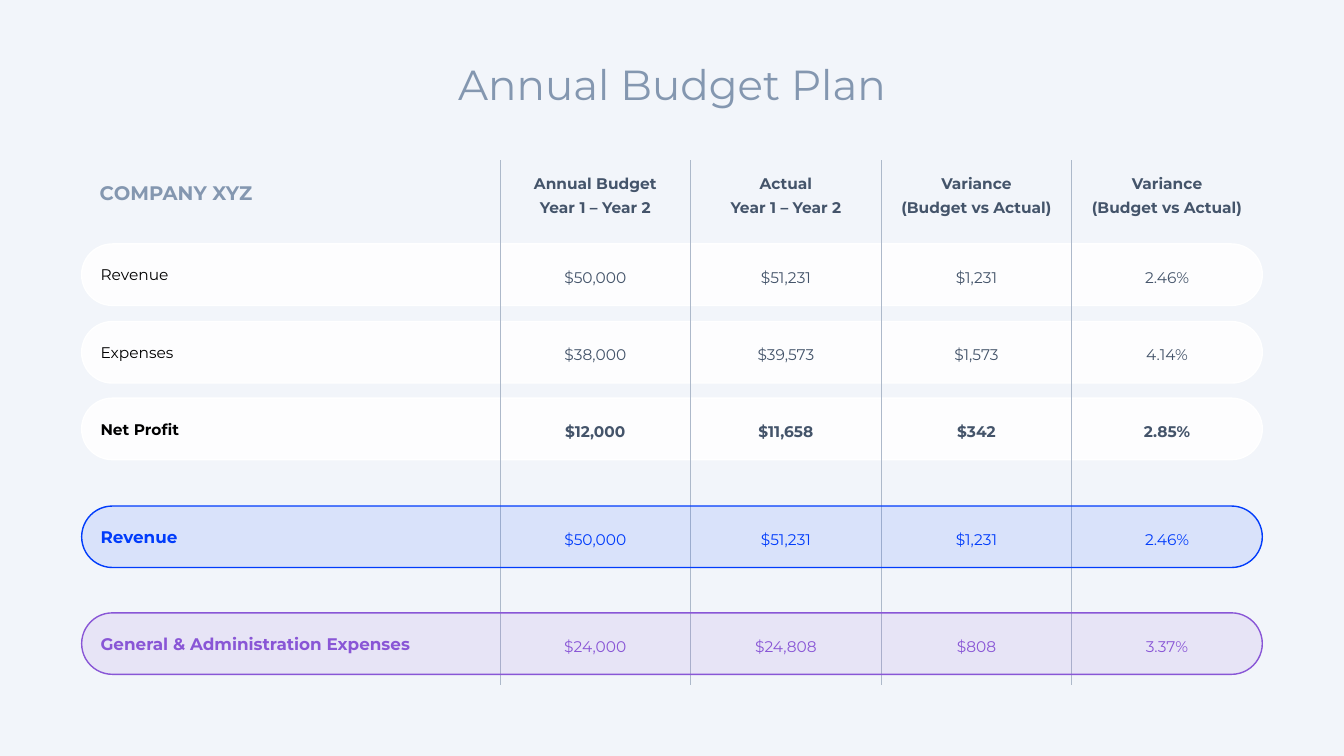
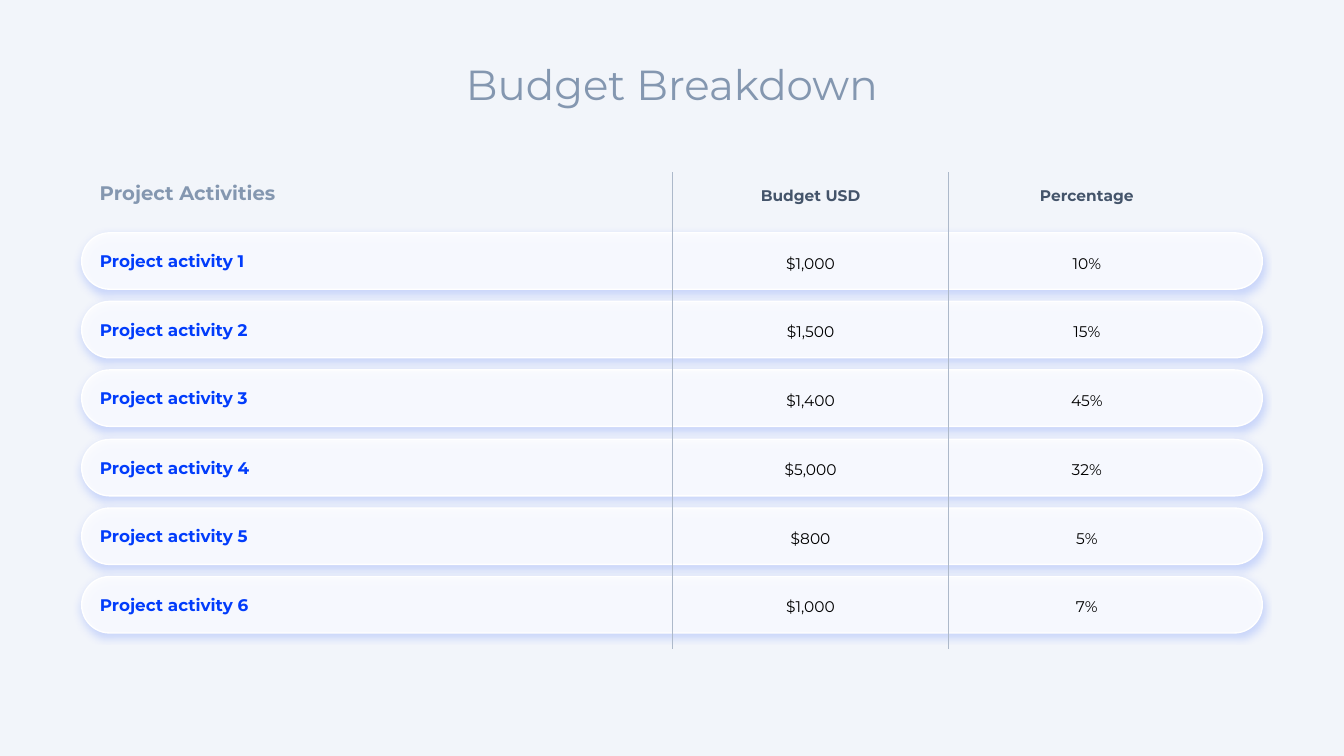
from collections import namedtuple

from lxml import etree
from pptx import Presentation, util as u
from pptx.dml.color import RGBColor
from pptx.enum import shapes, text
from pptx.oxml.ns import qn

PX = 9144  # EMU per px, 100 px to the inch
FONT = "Montserrat"
C = {
    "page": "F2F5FA", "title": "8497B0", "head": "44546A", "divider": "ADB9CA",
    "white": "FFFFFF", "black": "000000", "blue": "013CFB", "purple": "8956D6",
}
PILL_X, PILL_W = 81, 1171
HEAD_Y, HEAD_H, VALUE_H = 161, 61, 38
LEFT, CENTER = text.PP_ALIGN.LEFT, text.PP_ALIGN.CENTER

Style = namedtuple("Style", "fill alpha label size label_bold value value_bold shadow")
STYLES = {
    "plain": Style("white", 85, "black", 11, False, "head", False, False),
    "total": Style("white", 85, "black", 11, True, "head", True, False),
    "revenue": Style("blue", 10, "blue", 12, True, "blue", False, False),
    "admin": Style("purple", 10, "purple", 12, True, "purple", False, False),
    "activity": Style("white", 85, "blue", 12, True, "black", False, True),
}

Row = namedtuple("Row", "y style label values")
activities = [("$1,000", "10%"), ("$1,500", "15%"), ("$1,400", "45%"),
              ("$5,000", "32%"), ("$800", "5%"), ("$1,000", "7%")]

# Rows after the first "under" ones lie above the dividers.
SLIDES = [
    {
        "title": "Annual Budget Plan", "corner": "COMPANY XYZ",
        "heads": [("Annual Budget", "Year 1 – Year 2"), ("Actual", "Year 1 – Year 2"),
                  ("Variance", "(Budget vs Actual)"), ("Variance", "(Budget vs Actual)")],
        "col_x": 496, "col_w": 189, "divider": (159, 680), "row_h": 61, "under": 3,
        "rows": [
            Row(242, "plain", "Revenue", ("$50,000", "$51,231", "$1,231", "2.46%")),
            Row(319, "plain", "Expenses", ("$38,000", "$39,573", "$1,573", "4.14%")),
            Row(395, "total", "Net Profit", ("$12,000", "$11,658", "$342", "2.85%")),
            Row(502, "revenue", "Revenue", ("$50,000", "$51,231", "$1,231", "2.46%")),
            Row(608, "admin", "General & Administration Expenses",
                ("$24,000", "$24,808", "$808", "3.37%")),
        ],
    },
    {
        "title": "Budget Breakdown", "corner": "Project Activities",
        "heads": [("Budget USD",), ("Percentage",)],
        "col_x": 667, "col_w": 274, "divider": (171, 644), "row_h": 56, "under": 6,
        "rows": [Row(231 + round(68.2 * i), "activity", f"Project activity {i + 1}", values)
                 for i, values in enumerate(activities)],
    },
]


def write(tf, lines, size, color, bold=False, align=LEFT, spacing=None):
    """Fill a text frame with one paragraph per line."""
    for i, line in enumerate(lines):
        p = tf.add_paragraph() if i else tf.paragraphs[0]
        p.alignment = align
        if spacing:
            p.line_spacing = u.Pt(spacing)
        r = p.add_run()
        r.text = line
        r.font.name, r.font.size, r.font.bold = FONT, u.Pt(size), bold
        r.font.color.rgb = RGBColor.from_string(C[color])


def add_text(s, x, y, w, h, lines, size, color, **options):
    """Add a wrapped, vertically centred text box and return its frame."""
    tf = s.shapes.add_textbox(x * PX, y * PX, w * PX, h * PX).text_frame
    tf.word_wrap = True
    tf.vertical_anchor = text.MSO_ANCHOR.MIDDLE
    write(tf, lines, size, color, **options)
    return tf


prs = Presentation()
prs.slide_width, prs.slide_height = u.Inches(13.33), u.Inches(7.5)

for plan in SLIDES:
    s = prs.slides.add_slide(prs.slide_layouts[6])
    s.background.fill.solid()
    s.background.fill.fore_color.rgb = RGBColor.from_string(C["page"])
    col_w, row_h = plan["col_w"], plan["row_h"]
    columns = [plan["col_x"] + i * col_w for i in range(len(plan["heads"]))]

    tf = add_text(s, 442, 53, 449, 61, [plan["title"]], 30, "title", align=CENTER)
    tf.vertical_anchor = text.MSO_ANCHOR.TOP
    tf.word_wrap = False
    tf.auto_size = text.MSO_AUTO_SIZE.SHAPE_TO_FIT_TEXT

    add_text(s, 89, HEAD_Y, 415, HEAD_H, [plan["corner"]], 14, "title",
             bold=True, spacing=16.8)
    for x, lines in zip(columns, plan["heads"]):
        add_text(s, x, HEAD_Y, col_w, HEAD_H, lines, 11, "head",
                 bold=True, align=CENTER, spacing=16.8)

    for number, row in enumerate(plan["rows"], 1):
        style = STYLES[row.style]
        fill = RGBColor.from_string(C[style.fill])
        sp = s.shapes.add_shape(shapes.MSO_SHAPE.ROUNDED_RECTANGLE, PILL_X * PX,
                                row.y * PX, PILL_W * PX, row_h * PX)
        sp.adjustments[0] = 0.5
        sp.fill.solid()
        sp.fill.fore_color.rgb = fill
        clr = sp.fill._xPr.find(qn("a:solidFill"))[0]
        etree.SubElement(clr, qn("a:alpha"), val=str(style.alpha * 1000))
        sp.line.color.rgb = fill
        sp.line.width = u.Pt(1)
        sp.shadow.inherit = False
        if style.shadow:
            effects = sp._element.spPr.find(qn("a:effectLst"))
            glow = etree.SubElement(effects, qn("a:outerShdw"), blurRad=str(u.Pt(6)),
                                    dist=str(u.Pt(2)), dir="5400000",
                                    algn="t", rotWithShape="0")
            clr = etree.SubElement(glow, qn("a:srgbClr"), val=C["blue"])
            etree.SubElement(clr, qn("a:alpha"), val="20000")
        sp.text_frame.vertical_anchor = text.MSO_ANCHOR.MIDDLE
        write(sp.text_frame, [row.label], style.size, style.label, bold=style.label_bold)

        if number == plan["under"]:
            top, bottom = plan["divider"]
            for x in columns:
                line = s.shapes.add_connector(shapes.MSO_CONNECTOR.STRAIGHT, x * PX,
                                              top * PX, x * PX, bottom * PX)
                line.line.color.rgb = RGBColor.from_string(C["divider"])
                line.line.width = u.Pt(0.5)
                etree.SubElement(line._element.spPr, qn("a:effectLst"))

    for row in plan["rows"]:
        style = STYLES[row.style]
        y = row.y + (row_h - VALUE_H + 1) // 2
        for x, value in zip(columns, row.values):
            add_text(s, x, y, col_w, VALUE_H, [value], 11, style.value,
                     bold=style.value_bold, align=CENTER, spacing=16)

prs.save("out.pptx")
